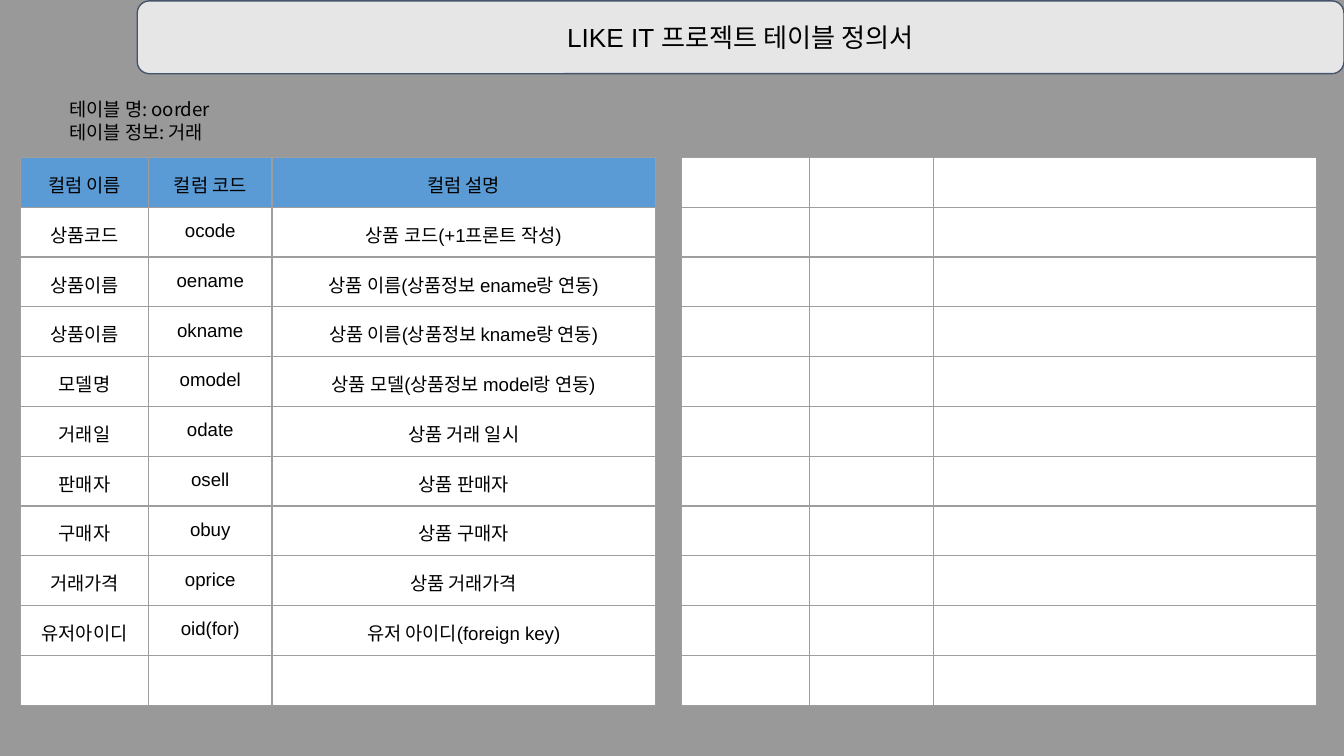
import pptx
import pptx.dml.color
import pptx.enum.shapes
import pptx.enum.text
import pptx.oxml
import pptx.oxml.ns
import pptx.util

Pt = pptx.util.Pt
ALIGN = pptx.enum.text.PP_ALIGN
ANCHOR = pptx.enum.text.MSO_ANCHOR

HEADER = ["컬럼 이름", "컬럼 코드", "컬럼 설명"]
COLUMNS = [
    ["상품코드", "ocode", "상품 코드(+1프론트 작성)"],
    ["상품이름", "oename", "상품 이름(상품정보 ename랑 연동)"],
    ["상품이름", "okname", "상품 이름(상품정보 kname랑 연동)"],
    ["모델명", "omodel", "상품 모델(상품정보 model랑 연동)"],
    ["거래일", "odate", "상품 거래 일시"],
    ["판매자", "osell", "상품 판매자"],
    ["구매자", "obuy", "상품 구매자"],
    ["거래가격", "oprice", "상품 거래가격"],
    ["유저아이디", "oid(for)", "유저 아이디(foreign key)"],
]
BLANK = ["", "", ""]


def rgb(value):
    return pptx.dml.color.RGBColor.from_string(value)


def write(tf, text, size=10, font="Arial", color="000000", align=ALIGN.LEFT):
    for i, line in enumerate(text.split("\n")):
        p = tf.add_paragraph() if i else tf.paragraphs[0]
        p.alignment = align
        if not line:
            end = pptx.oxml.parse_xml(
                f'<a:endParaRPr {pptx.oxml.ns.nsdecls("a")} sz="{size * 100}"/>')
            p._p.append(end)
            continue
        r = p.add_run()
        r.text = line
        r.font.size = Pt(size)
        r.font.name = font
        r.font.color.rgb = rgb(color)


class Deck:
    inset = Pt(7.2)
    grid = "9E9E9E"

    def __init__(self, width, height, background):
        self.prs = pptx.Presentation()
        self.prs.slide_width, self.prs.slide_height = Pt(width), Pt(height)
        self.s = self.prs.slides.add_slide(self.prs.slide_layouts[6])
        self.s.background.fill.solid()
        self.s.background.fill.fore_color.rgb = rgb(background)

    def pad(self, box):
        box.margin_left = box.margin_right = self.inset
        box.margin_top = box.margin_bottom = self.inset

    def banner(self, x, y, w, h, text, fill, line):
        sp = self.s.shapes.add_shape(
            pptx.enum.shapes.MSO_SHAPE.ROUNDED_RECTANGLE, Pt(x), Pt(y), Pt(w), Pt(h))
        sp.shadow.inherit = False
        sp.fill.solid()
        sp.fill.fore_color.rgb = rgb(fill)
        sp.line.color.rgb = rgb(line)
        sp.line.width = Pt(0.75)
        tf = sp.text_frame
        self.pad(tf)
        tf.word_wrap = True
        tf.vertical_anchor = ANCHOR.MIDDLE
        write(tf, text, size=14, align=ALIGN.CENTER)

    def label(self, x, y, w, h, text, font):
        tf = self.s.shapes.add_textbox(Pt(x), Pt(y), Pt(w), Pt(h)).text_frame
        self.pad(tf)
        tf.word_wrap = True
        write(tf, text, font=font)

    def border(self, cell):
        pr = cell._tc.get_or_add_tcPr()
        for i, side in enumerate(("lnL", "lnR", "lnT", "lnB")):
            pr.insert(i, pptx.oxml.parse_xml(
                f'<a:{side} {pptx.oxml.ns.nsdecls("a")} w="{Pt(0.75)}"><a:solidFill>'
                f'<a:srgbClr val="{self.grid}"/></a:solidFill></a:{side}>'))

    def table(self, x, y, widths, row_height, rows, fills):
        table = self.s.shapes.add_table(
            len(rows), len(widths), Pt(x), Pt(y),
            Pt(sum(widths)), Pt(row_height * len(rows))).table
        for column, width in zip(table.columns, widths):
            column.width = Pt(width)
        for i, (row, fill) in enumerate(zip(rows, fills)):
            table.rows[i].height = Pt(row_height)
            for j, text in enumerate(row):
                cell = table.cell(i, j)
                self.pad(cell)
                cell.fill.solid()
                cell.fill.fore_color.rgb = rgb(fill)
                self.border(cell)
                write(cell.text_frame, text, align=ALIGN.CENTER)


def main():
    deck = Deck(720, 405, "999999")
    deck.banner(73.5, 0.5, 646.5, 39, "LIKE IT 프로젝트 테이블 정의서", "E7E6E6", "44546A")
    deck.label(30.2, 45.4, 321, 38.9, "테이블 명: oorder\n테이블 정보: 거래", "Noto Sans CJK KR")
    widths = [68.5, 66.3, 205.2]
    rows = [HEADER, *COLUMNS, BLANK]
    white = ["FFFFFF"] * len(rows)
    deck.table(11, 84.4, widths, 26.7, rows, ["5B9BD5", *white[1:]])
    deck.table(365.2, 84.4, widths, 26.7, [BLANK] * len(rows), white)
    deck.prs.save("out.pptx")


if __name__ == "__main__":
    main()
